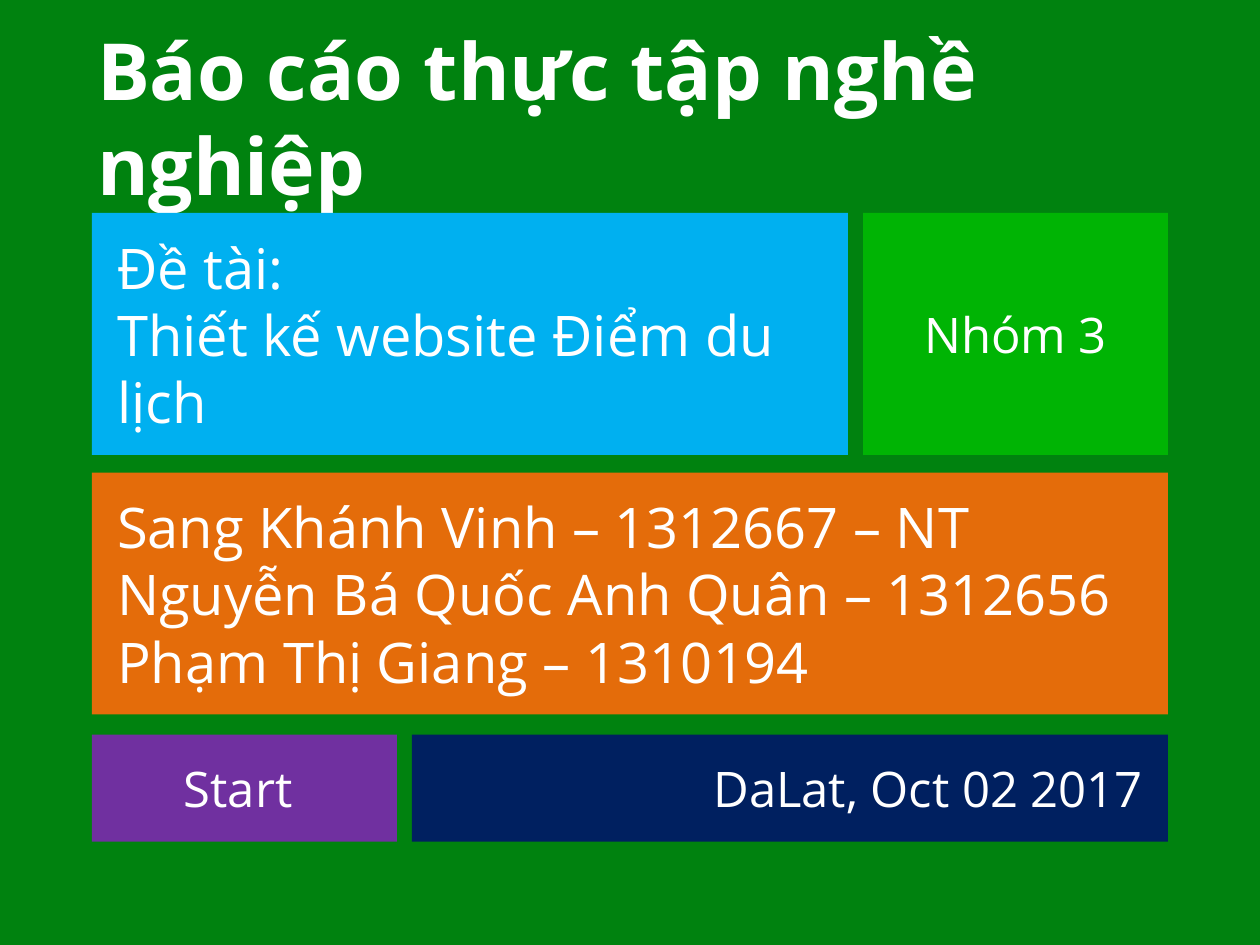
from dataclasses import dataclass

from pptx import Presentation
from pptx.dml.color import RGBColor
from pptx.enum.shapes import MSO_SHAPE
from pptx.enum.text import MSO_ANCHOR, PP_ALIGN
from pptx.util import Inches, Pt

COLOURS = {
    "background": "00820F",
    "text": "FFFFFF",
    "topic": "00B0F0",
    "group": "00B404",
    "members": "E46C0A",
    "start": "7030A0",
    "date": "002060",
}
FONT = "Open Sans"

# Tile grid
LEFT, GAP = 0.73, 0.12
WIDE, NARROW = 6, 2.42
FULL = WIDE + GAP + NARROW
TALL, SHORT = 1.92, 0.85
ROWS = (1.69, 3.75, 5.83)


@dataclass
class Tile:
    colour: str
    left: float
    top: float
    width: float
    height: float
    lines: list[str]
    size: int = 28
    align: PP_ALIGN = PP_ALIGN.LEFT


TILES = [
    Tile("topic", LEFT, ROWS[0], WIDE, TALL,
         ["Đề tài: ", "Thiết kế website Điểm du lịch"], 32),
    Tile("group", LEFT + WIDE + GAP, ROWS[0], NARROW, TALL,
         ["Nhóm 3"], align=PP_ALIGN.CENTER),
    Tile("members", LEFT, ROWS[1], FULL, TALL,
         ["Sang Khánh Vinh – 1312667 – NT",
          "Nguyễn Bá Quốc Anh Quân – 1312656",
          "Phạm Thị Giang – 1310194"], 32),
    Tile("start", LEFT, ROWS[2], NARROW, SHORT,
         ["Start "], align=PP_ALIGN.CENTER),
    Tile("date", LEFT + NARROW + GAP, ROWS[2], WIDE, SHORT,
         ["DaLat, Oct 02 2017"], align=PP_ALIGN.RIGHT),
]


def colour(name: str) -> RGBColor:
    return RGBColor.from_string(COLOURS[name])


def write_lines(box, lines: list[str], size: int, align: PP_ALIGN,
                bold: bool = False) -> None:
    frame = box.text_frame
    frame.word_wrap = True
    frame.vertical_anchor = MSO_ANCHOR.MIDDLE
    frame.text = "\n".join(lines)
    for para in frame.paragraphs:
        para.alignment = align
        para.font.name = FONT
        para.font.size = Pt(size)
        para.font.bold = bold
        para.font.color.rgb = colour("text")


def draw_tile(page, tile: Tile) -> None:
    box = page.shapes.add_shape(
        MSO_SHAPE.RECTANGLE, Inches(tile.left), Inches(tile.top),
        Inches(tile.width), Inches(tile.height))
    box.shadow.inherit = False
    box.fill.solid()
    box.fill.fore_color.rgb = colour(tile.colour)
    box.line.fill.background()
    frame = box.text_frame
    frame.margin_left = frame.margin_right = Inches(0.2)
    frame.margin_top = frame.margin_bottom = Inches(0.2)
    write_lines(box, tile.lines, tile.size, tile.align)


# Deck and background
deck = Presentation()
deck.slide_width, deck.slide_height = Inches(10), Inches(7.5)
page = deck.slides.add_slide(deck.slide_layouts[5])
page.background.fill.solid()
page.background.fill.fore_color.rgb = colour("background")

# Title
title = page.shapes.title
title.left, title.top = Inches(0.67), Inches(0.3)
title.width, title.height = Inches(8.67), Inches(1.25)
write_lines(title, ["Báo cáo thực tập nghề nghiệp"], 45, PP_ALIGN.LEFT, bold=True)

# Tiles
for tile in TILES:
    draw_tile(page, tile)

deck.save("out.pptx")
